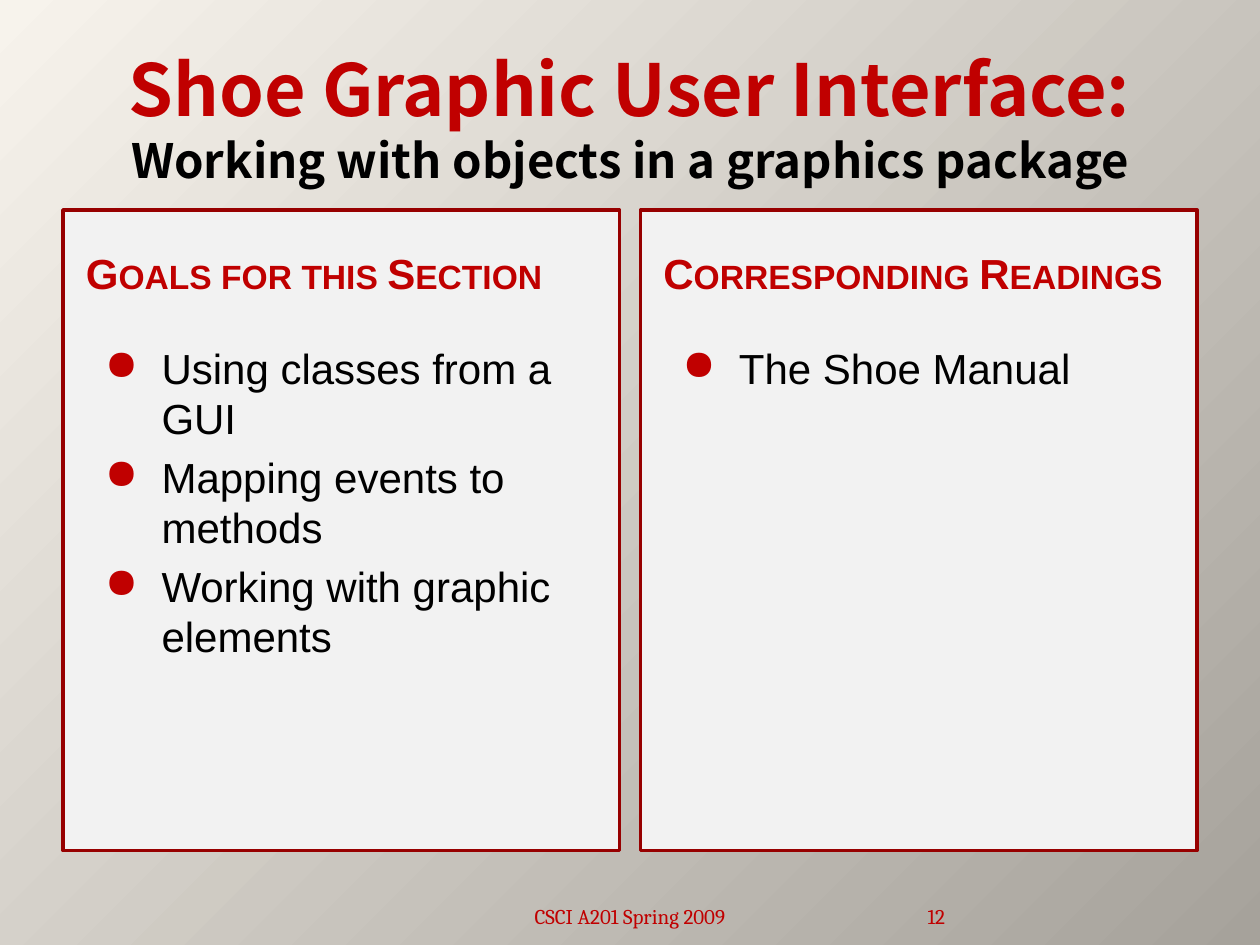
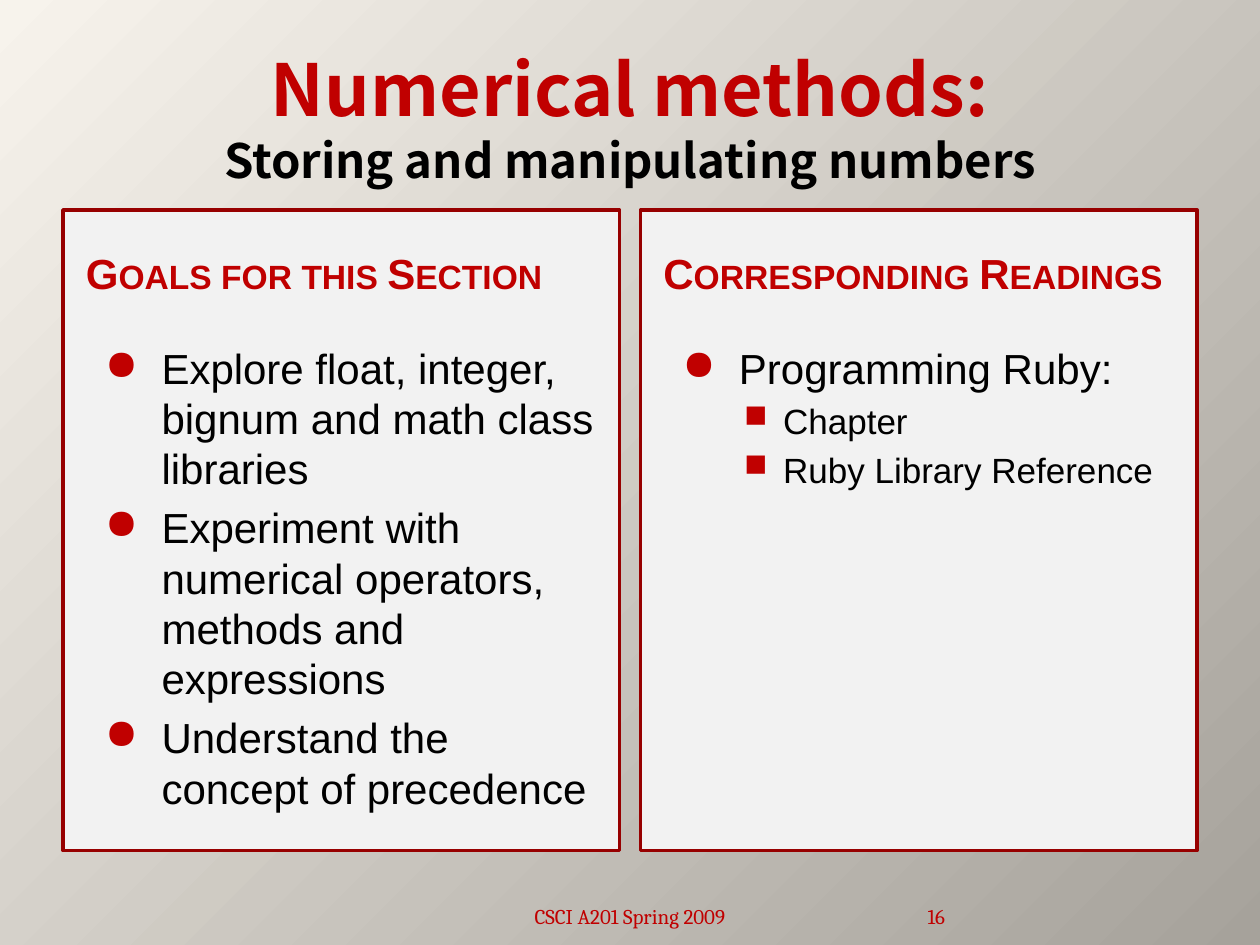
from copy import deepcopy
from dataclasses import dataclass

from lxml import etree
from pptx import Presentation
from pptx import util as u
from pptx.dml.color import RGBColor
from pptx.enum import shapes, text
from pptx.oxml import ns

COLUMNS, ROWS = 120, 90
WIDTH, HEIGHT = u.Inches(10), u.Inches(7.5)

RED, DARK_RED, BLACK, PANEL_GREY = "C00000", "970000", "000000", "F2F2F2"
GRADIENT = ("F7F3EC", "A6A29B")
TITLE_FONT, BODY_FONT, FOOTER_FONT = "Noto Sans CJK SC", "Arial", "Cambria"
FOOTER = "CSCI A201 Spring 2009"
HEADINGS = ("Goals for this Section", "Corresponding Readings")


@dataclass(frozen=True)
class Area:
    column: float
    row: float
    columns: float
    rows: float

    def lengths(self) -> tuple[int, int, int, int]:
        return (
            round(WIDTH * self.column / COLUMNS),
            round(HEIGHT * self.row / ROWS),
            round(WIDTH * self.columns / COLUMNS),
            round(HEIGHT * self.rows / ROWS),
        )


@dataclass(frozen=True)
class Level:
    indent: float
    hanging: float
    mark: str
    mark_percent: int
    size: int


@dataclass(frozen=True)
class Item:
    words: str
    level: int = 0


@dataclass(frozen=True)
class Section:
    title: str
    subtitle: str
    number: int
    goals: tuple[Item, ...]
    readings: tuple[Item, ...]


LEVELS = (Level(0.6, 0.45, "●", 100, 24), Level(0.95, 0.31, "■", 90, 20))

TITLE_AREA = Area(6, 3.6, 108, 15)
FOOTER_AREA = Area(41, 84.24, 38, 4.8)
NUMBER_AREA = Area(80, 84.24, 10, 4.8)
PANEL = Area(6, 20, 53, 61)
PANEL_STEP = 55
PADDING = 1
HEADING_ROWS = 10
LIST_ROW = 32

SECTIONS = (
    Section(
        "Shoe Graphic User Interface:",
        "Working with objects in a graphics package",
        12,
        (
            Item("Using classes from a GUI"),
            Item("Mapping events to methods"),
            Item("Working with graphic elements"),
        ),
        (Item("The Shoe Manual"),),
    ),
    Section(
        "Numerical methods:",
        "Storing and manipulating numbers",
        16,
        (
            Item("Explore float, integer, bignum and math class libraries"),
            Item("Experiment with numerical operators, methods and expressions"),
            Item("Understand the concept of precedence"),
        ),
        (
            Item("Programming Ruby:"),
            Item("Chapter", 1),
            Item("Ruby Library Reference", 1),
        ),
    ),
)


def color(code: str) -> RGBColor:
    return RGBColor.from_string(code)


def add_text(para, words: str, *, size: float, font: str = BODY_FONT,
             ink: str = BLACK, bold: bool = False, small_caps: bool = False):
    span = para.add_run()
    span.text = words
    span.font.size = u.Pt(size)
    span.font.name = font
    span.font.bold = bold
    span.font.color.rgb = color(ink)
    if small_caps:
        span.font._element.set("cap", "small")
    return span


def add_box(page, area: Area, anchor=text.MSO_ANCHOR.TOP):
    frame = page.shapes.add_textbox(*area.lengths()).text_frame
    frame.word_wrap = True
    frame.vertical_anchor = anchor
    return frame


def add_bullet(para, level: Level) -> None:
    properties = para._p.get_or_add_pPr()
    properties.set("marL", str(u.Inches(level.indent)))
    properties.set("indent", str(-u.Inches(level.hanging)))
    shade = etree.SubElement(properties, ns.qn("a:buClr"))
    etree.SubElement(shade, ns.qn("a:srgbClr"), val=RED)
    etree.SubElement(properties, ns.qn("a:buSzPct"), val=str(level.mark_percent * 1000))
    etree.SubElement(properties, ns.qn("a:buChar"), char=level.mark)


def paint_background(master) -> None:
    fill = master.background.fill
    fill.gradient()
    for stop, code, position in zip(fill.gradient_stops, GRADIENT, (0, 1)):
        stop.color.rgb = color(code)
        stop.position = position
    line = next(master._element.iter(ns.qn("a:lin")))
    circle = etree.Element(ns.qn("a:path"))
    circle.set("path", "circle")
    etree.SubElement(circle, ns.qn("a:fillToRect"), r="100000", b="100000")
    line.getparent().replace(line, circle)


def write_title(page, section: Section) -> None:
    title = page.shapes.title
    title.left, title.top, title.width, title.height = TITLE_AREA.lengths()
    frame = title.text_frame
    frame.word_wrap = True
    frame.auto_size = text.MSO_AUTO_SIZE.NONE
    frame.vertical_anchor = text.MSO_ANCHOR.MIDDLE
    para = frame.paragraphs[0]
    para.alignment = text.PP_ALIGN.CENTER
    span = add_text(para, section.title, size=41, font=TITLE_FONT, ink=RED, bold=True)
    para.add_line_break()
    para._p[-1].append(deepcopy(span.font._element))
    add_text(para, section.subtitle, size=27, font=TITLE_FONT, bold=True)


def draw_panel(page, index: int, heading: str, items: tuple[Item, ...]) -> None:
    column = PANEL.column + index * PANEL_STEP
    area = Area(column, PANEL.row, PANEL.columns, PANEL.rows)
    panel = page.shapes.add_shape(shapes.MSO_SHAPE.RECTANGLE, *area.lengths())
    panel.shadow.inherit = False
    panel.fill.solid()
    panel.fill.fore_color.rgb = color(PANEL_GREY)
    panel.line.color.rgb = color(DARK_RED)
    panel.line.width = u.Pt(2)

    left, inner = column + PADDING, PANEL.columns - 2 * PADDING
    heading_area = Area(left, PANEL.row + PADDING, inner, HEADING_ROWS)
    frame = add_box(page, heading_area, text.MSO_ANCHOR.MIDDLE)
    add_text(frame.paragraphs[0], heading, size=24, ink=RED, bold=True, small_caps=True)

    list_rows = PANEL.row + PANEL.rows - PADDING - LIST_ROW
    frame = add_box(page, Area(left, LIST_ROW, inner, list_rows))
    for position, item in enumerate(items):
        para = frame.add_paragraph() if position else frame.paragraphs[0]
        level = LEVELS[item.level]
        para.level = item.level
        add_bullet(para, level)
        if position:
            para.space_before = u.Pt(level.size * 0.2)
        add_text(para, item.words, size=level.size)


def write_footer(page, number: int) -> None:
    frame = add_box(page, FOOTER_AREA, text.MSO_ANCHOR.BOTTOM)
    frame.paragraphs[0].alignment = text.PP_ALIGN.CENTER
    add_text(frame.paragraphs[0], FOOTER, size=12, font=FOOTER_FONT, ink=RED)
    frame = add_box(page, NUMBER_AREA, text.MSO_ANCHOR.BOTTOM)
    frame.margin_left = frame.margin_right = 0
    frame.paragraphs[0].alignment = text.PP_ALIGN.RIGHT
    add_text(frame.paragraphs[0], str(number), size=12, font=FOOTER_FONT, ink=RED)


def main() -> None:
    deck = Presentation()
    deck.slide_width, deck.slide_height = WIDTH, HEIGHT
    paint_background(deck.slide_master)
    title_only = deck.slide_layouts.get_by_name("Title Only")
    for section in SECTIONS:
        page = deck.slides.add_slide(title_only)
        write_title(page, section)
        for index, items in enumerate((section.goals, section.readings)):
            draw_panel(page, index, HEADINGS[index], items)
        write_footer(page, section.number)
    deck.save("out.pptx")


if __name__ == "__main__":
    main()
